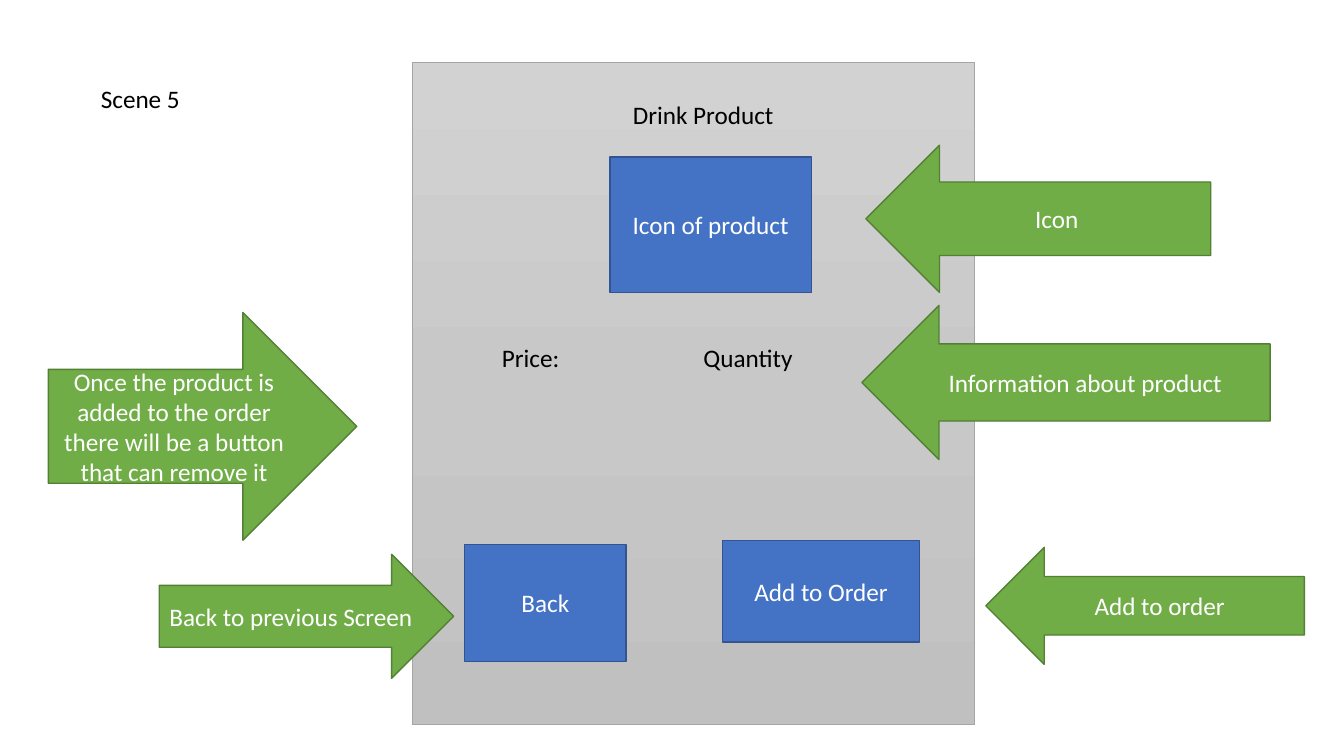
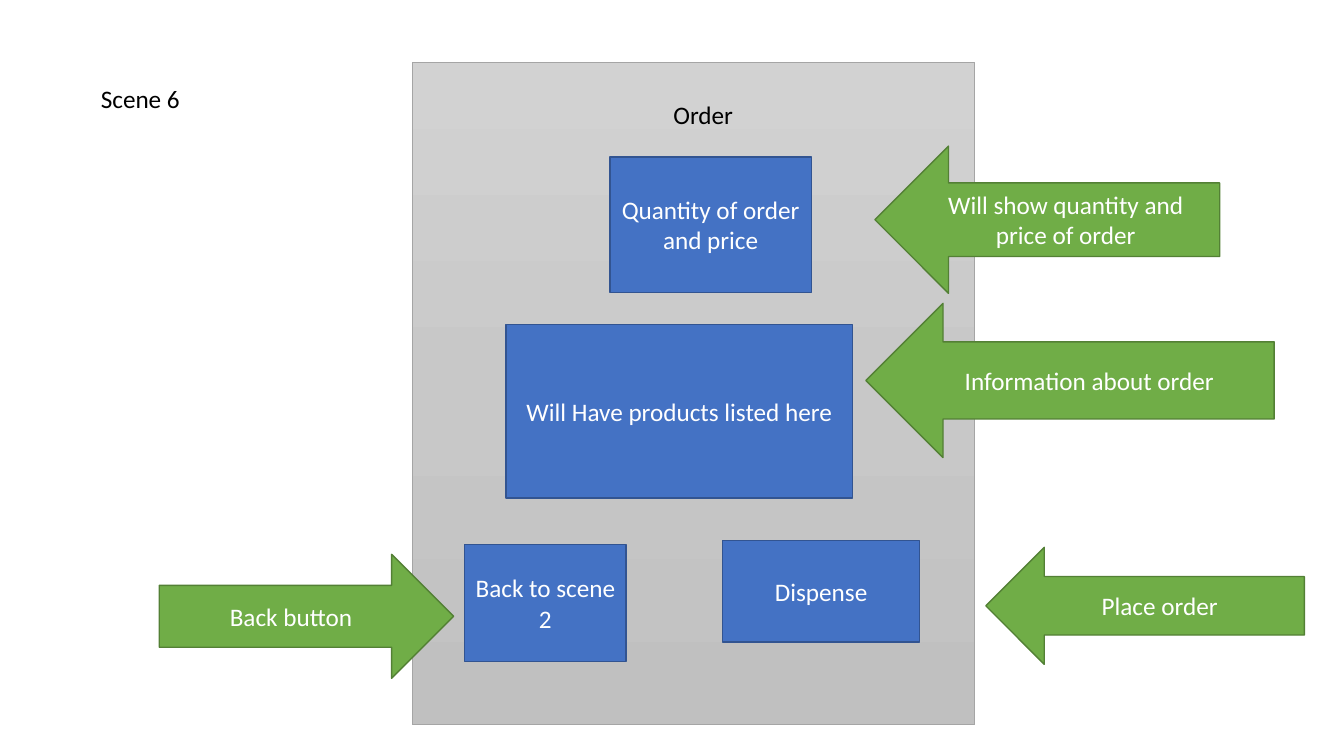
import copy

import pptx
import pptx.dml.color
import pptx.enum.shapes
import pptx.enum.text
import pptx.oxml.ns
import pptx.util
from lxml import etree

# Shared style
WIDTH, HEIGHT = pptx.util.Inches(13.333), pptx.util.Inches(7.5)
FONT, TEXT_SIZE = "Calibri", 18
BLACK, WHITE = "000000", "FFFFFF"
BUTTON = ("4472C4", "325491")
CALLOUT = ("70AD47", "538035")
SCREEN_SHADES = ("D2D2D2", "C8C8C8", "C0C0C0")
SCREEN_LINE = "A5A5A5"

# Places shared by the scenes: left, top, width, height in percent of the slide
SCENE_LABEL = (6.75, 10.4, 17.18, 5.33)
SCREEN = (30.68, 8.27, 41.85, 87.6)
HEADING = (38.78, 12.53, 27.08, 5.33)
TOP_PANEL = (45.38, 20.8, 15, 17.87)
LEFT_BUTTON = (34.58, 72, 12, 15.47)
RIGHT_BUTTON = (53.78, 71.47, 14.63, 13.47)
BACK_CALLOUT = (11.85, 73.33, 21.9, 16.4)
ORDER_CALLOUT = (73.35, 72.4, 23.7, 15.47)
TOP_CALLOUT_SIZE = (25.65, 19.47)
INFO_CALLOUT_SIZE = (30.38, 20.4)

# Places used by one scene
DETAILS = (36.6, 44.67, 28.35, 13.47)
QUANTITY_TAB = 15
REMOVE_CALLOUT = (3.6, 41.33, 22.95, 30.13)
PRODUCT_LIST = (37.65, 42.93, 25.8, 22.93)

SHAPES = pptx.enum.shapes.MSO_SHAPE
ALIGN = pptx.enum.text.PP_ALIGN
ANCHOR = pptx.enum.text.MSO_ANCHOR


def color(hex_value):
    return pptx.dml.color.RGBColor.from_string(hex_value)


def across(percent):
    return round(WIDTH * percent / 100)


def down(percent):
    return round(HEIGHT * percent / 100)


def box(place):
    left, top, width, height = place
    return across(left), down(top), across(width), down(height)


def write(holder, text, ink, align, anchor):
    frame = holder.text_frame
    frame.word_wrap = True
    frame.auto_size = pptx.enum.text.MSO_AUTO_SIZE.NONE
    frame.vertical_anchor = anchor
    paragraph = frame.paragraphs[0]
    paragraph.alignment = align
    run = paragraph.add_run()
    run.text = text
    run.font.name = FONT
    run.font.size = pptx.util.Pt(TEXT_SIZE)
    run.font.color.rgb = color(ink)
    return paragraph


def add_outlined(slide, kind, place, line, points):
    shape = slide.shapes.add_shape(kind, *box(place))
    shape.shadow.inherit = False
    shape.line.color.rgb = color(line)
    shape.line.width = pptx.util.Pt(points)
    return shape


def add_block(slide, kind, place, text, style):
    fill, line = style
    block = add_outlined(slide, kind, place, line, 1)
    block.fill.solid()
    block.fill.fore_color.rgb = color(fill)
    write(block, text, WHITE, ALIGN.CENTER, ANCHOR.MIDDLE)


def add_button(slide, place, text):
    add_block(slide, SHAPES.RECTANGLE, place, text, BUTTON)


def add_callout(slide, place, text, kind=SHAPES.LEFT_ARROW):
    add_block(slide, kind, place, text, CALLOUT)


def add_label(slide, place, text, align=ALIGN.LEFT):
    label = slide.shapes.add_textbox(*box(place))
    return write(label, text, BLACK, align, ANCHOR.TOP)


def add_screen(slide):
    screen = add_outlined(slide, SHAPES.RECTANGLE, SCREEN, SCREEN_LINE, 0.5)
    screen.fill.gradient()
    screen.fill.gradient_angle = 270
    # The default gradient has two stops; add the middle one
    stops = screen.element.spPr.find(".//" + pptx.oxml.ns.qn("a:gsLst"))
    stops.insert(1, copy.deepcopy(stops[0]))
    for index, (stop, shade) in enumerate(zip(screen.fill.gradient_stops, SCREEN_SHADES)):
        stop.position = index / 2
        stop.color.rgb = color(shade)


def add_details(slide):
    line = add_label(slide, DETAILS, "Price:\tQuantity")
    properties = line._p.get_or_add_pPr()
    tabs = etree.SubElement(properties, pptx.oxml.ns.qn("a:tabLst"))
    etree.SubElement(tabs, pptx.oxml.ns.qn("a:tab"),
                     pos=str(across(QUANTITY_TAB)), algn="l")


def add_scene(deck, name, heading, panel, buttons, callouts, top_at, info_at):
    slide = deck.slides.add_slide(deck.slide_layouts.get_by_name("Title Only"))
    title = slide.shapes.title
    title.left, title.top, title.width, title.height = box(SCENE_LABEL)
    write(title, name, BLACK, ALIGN.LEFT, ANCHOR.TOP)

    # Mock screen
    add_screen(slide)
    add_label(slide, HEADING, heading, ALIGN.CENTER)
    add_button(slide, TOP_PANEL, panel)
    for place, text in zip((LEFT_BUTTON, RIGHT_BUTTON), buttons):
        add_button(slide, place, text)

    # Explanations around it
    back, order, top, info = callouts
    add_callout(slide, BACK_CALLOUT, back, SHAPES.RIGHT_ARROW)
    add_callout(slide, ORDER_CALLOUT, order)
    add_callout(slide, top_at + TOP_CALLOUT_SIZE, top)
    add_callout(slide, info_at + INFO_CALLOUT_SIZE, info)
    return slide


def main():
    deck = pptx.Presentation()
    deck.slide_width, deck.slide_height = WIDTH, HEIGHT

    # Scene 5: one product
    product = add_scene(
        deck, "Scene 5", "Drink Product", "Icon of product",
        ("Back", "Add to Order"),
        ("Back to previous Screen", "Add to order", "Icon", "Information about product"),
        top_at=(64.43, 19.2), info_at=(64.13, 40.4))
    add_details(product)
    add_callout(product, REMOVE_CALLOUT,
                "Once the product is added to the order there will be a button "
                "that can remove it", SHAPES.RIGHT_ARROW)

    # Scene 6: the whole order
    order = add_scene(
        deck, "Scene 6", "Order", "Quantity of order and price",
        ("Back to scene 2", "Dispense"),
        ("Back button", "Place order", "Will show quantity and price of order",
         "Information about order"),
        top_at=(65.1, 19.33), info_at=(64.43, 40.13))
    add_button(order, PRODUCT_LIST, "Will Have products listed here")

    deck.save("out.pptx")


main()
